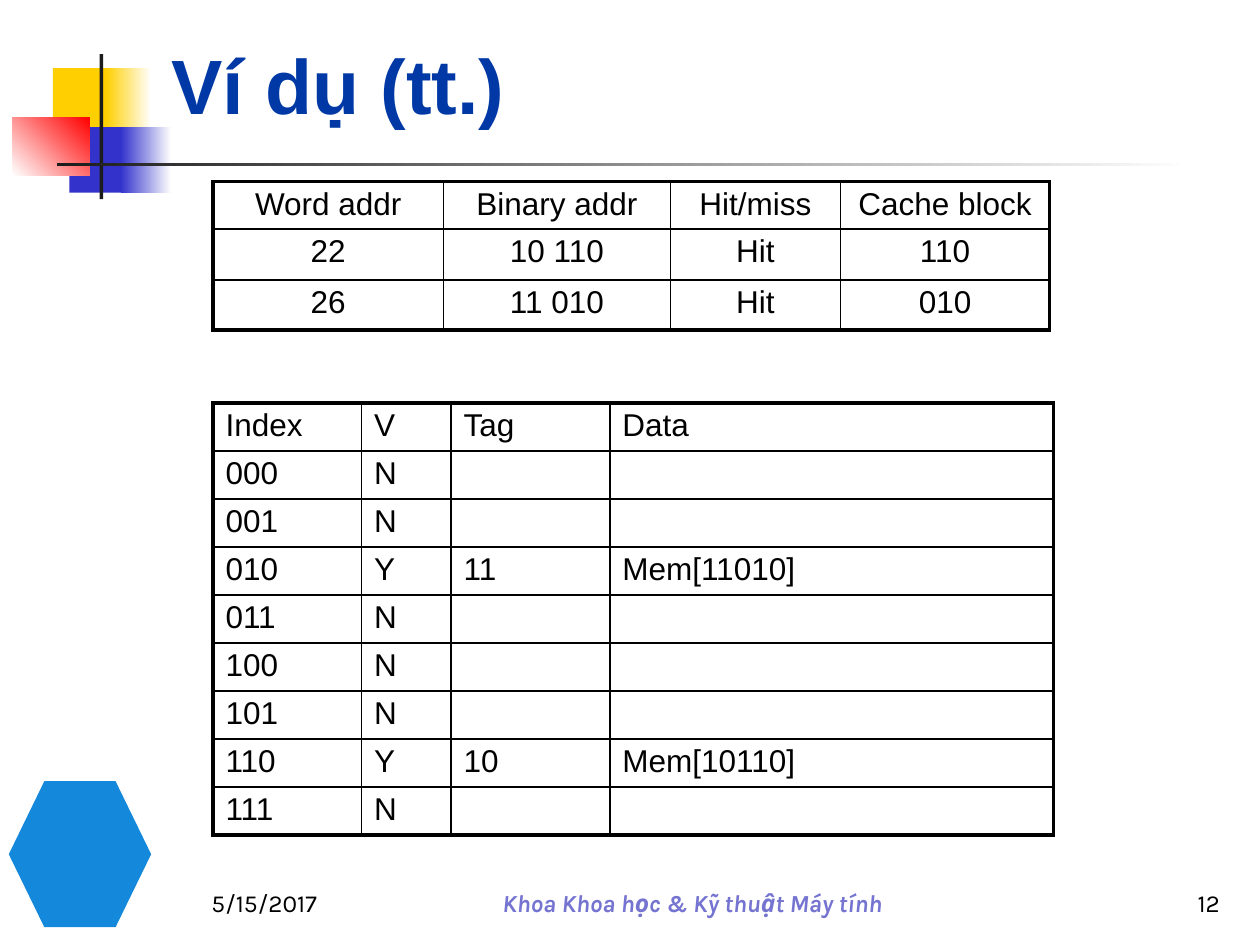
from dataclasses import dataclass

from lxml.etree import SubElement
from pptx import Presentation
from pptx.dml.color import RGBColor
from pptx.enum.shapes import MSO_SHAPE
from pptx.enum.text import MSO_ANCHOR, PP_ALIGN
from pptx.oxml.ns import qn
from pptx.util import Inches, Pt


@dataclass(frozen=True)
class Theme:
    ink: str = "000000"
    paper: str = "FFFFFF"
    heading: str = "0039A6"
    faculty: str = "7575D1"
    yellow: str = "FFCF01"
    blue: str = "3333CC"
    red: str = "FF0000"
    bar: str = "1C1C1C"
    emblem: str = "1488DB"
    body_font: str = "Arial"
    footer_font: str = "Karla"
    title_size: float = 44
    table_size: float = 18
    footer_size: float = 14
    frame: float = 2.25
    rule: float = 1.5
    hairline: float = 1


class SlideBuilder:
    COLUMNS = 100
    ROWS = 75

    def __init__(self, deck, theme):
        self.theme = theme
        self.column = deck.slide_width / self.COLUMNS
        self.row = deck.slide_height / self.ROWS
        self.slide = deck.slides.add_slide(deck.slide_layouts[5])

    def box(self, left, top, width, height):
        return (round(left * self.column), round(top * self.row),
                round(width * self.column), round(height * self.row))

    def add_wording(self, paragraph, wording, size, color, font, align=PP_ALIGN.LEFT,
                    bold=False, italic=False):
        paragraph.alignment = align
        run = paragraph.add_run()
        run.text = wording
        run.font.name = font
        run.font.size = Pt(size)
        run.font.bold = bold
        run.font.italic = italic
        run.font.color.rgb = RGBColor.from_string(color)

    def title(self, wording, place):
        heading = self.slide.shapes.title
        heading.left, heading.top, heading.width, heading.height = self.box(*place)
        heading.text_frame.vertical_anchor = MSO_ANCHOR.BOTTOM
        self.add_wording(heading.text_frame.paragraphs[0], wording, self.theme.title_size,
                         self.theme.heading, self.theme.body_font, bold=True)

    def block(self, place, color, fade_to=None, angle=0, outline=MSO_SHAPE.RECTANGLE):
        block = self.slide.shapes.add_shape(outline, *self.box(*place))
        block.shadow.inherit = False
        block.line.fill.background()
        if fade_to is None:
            block.fill.solid()
            block.fill.fore_color.rgb = RGBColor.from_string(color)
            return
        block.fill.gradient()
        block.fill.gradient_angle = angle
        for stop, tint in zip(block.fill.gradient_stops, (color, fade_to)):
            stop.color.rgb = RGBColor.from_string(tint)

    def footer(self, wording, place, color, align=PP_ALIGN.LEFT, emphasis=False):
        frame = self.slide.shapes.add_textbox(*self.box(*place)).text_frame
        frame.word_wrap = True
        frame.vertical_anchor = MSO_ANCHOR.BOTTOM
        self.add_wording(frame.paragraphs[0], wording, self.theme.footer_size, color,
                         self.theme.footer_font, align, emphasis, emphasis)

    def border(self, cell, weights):
        properties = cell._tc.get_or_add_tcPr()
        for position, (side, weight) in enumerate(weights.items()):
            edge = SubElement(properties, qn(f"a:ln{side}"), w=str(Pt(weight)))
            fill = SubElement(edge, qn("a:solidFill"))
            SubElement(fill, qn("a:srgbClr"), val=self.theme.ink)
            properties.insert(position, edge)

    def table(self, records, corner, widths, heights, row_rule, align):
        theme = self.theme
        place = self.box(*corner, sum(widths), sum(heights))
        grid = self.slide.shapes.add_table(len(records), len(widths), *place).table
        for column, width in zip(grid.columns, widths):
            column.width = round(width * self.column)
        for row, height in zip(grid.rows, heights):
            row.height = round(height * self.row)
        across = [theme.frame] + [theme.hairline] * (len(widths) - 1) + [theme.frame]
        down = [theme.frame, theme.rule] + [row_rule] * (len(records) - 2) + [theme.frame]
        for r, record in enumerate(records):
            for c, wording in enumerate(record):
                cell = grid.cell(r, c)
                cell.fill.background()
                cell.margin_top = cell.margin_bottom = Inches(0.04)
                self.border(cell, {"L": across[c], "R": across[c + 1],
                                   "T": down[r], "B": down[r + 1]})
                paragraph = cell.text_frame.paragraphs[0]
                if wording:
                    self.add_wording(paragraph, wording, theme.table_size, theme.ink,
                                     theme.body_font, align)
                else:
                    paragraph.font.size = Pt(theme.table_size)


def main():
    deck = Presentation()
    deck.slide_width, deck.slide_height = Inches(10), Inches(7.5)
    theme = Theme()
    page = SlideBuilder(deck, theme)

    page.block((4.2, 5.4, 4.8, 5.2), theme.yellow)
    page.block((8.4, 5.4, 3.6, 5.2), theme.yellow, theme.paper)
    page.block((5.5, 10.1, 4.6, 5.2), theme.blue)
    page.block((9.6, 10.1, 4, 5.2), theme.blue, theme.paper)
    page.block((1, 9.3, 6.1, 4.6), theme.paper, theme.red, angle=45)
    page.block((7.9, 4.3, 0.3, 11.5), theme.bar)
    page.block((4.5, 12.9, 90, 0.3), theme.bar, theme.paper)
    page.block((0.7, 62, 11.3, 11.6), theme.emblem, outline=MSO_SHAPE.HEXAGON)

    page.title("Ví dụ (tt.)", (12.6, 2.3, 85.2, 8.5))
    page.footer("5/15/2017", (15.8, 68.3, 14.2, 5), theme.ink)
    page.footer("Khoa Khoa học & Kỹ thuật Máy tính", (30.8, 70, 48.3, 3.3),
                theme.faculty, PP_ALIGN.CENTER, emphasis=True)
    page.footer("12", (83.3, 68.3, 14.5, 5), theme.ink, PP_ALIGN.RIGHT)

    stored = {"010": ("11", "Mem[11010]"), "110": ("10", "Mem[10110]")}
    cache = [("Index", "V", "Tag", "Data")]
    for number in range(8):
        index = f"{number:03b}"
        cache.append((index, "Y" if index in stored else "N", *stored.get(index, ("", ""))))
    page.table(cache, (16.9, 32), (11.8, 7.1, 12.6, 35.2), [3.81] * len(cache),
               theme.hairline, PP_ALIGN.LEFT)

    accesses = [
        ("Word addr", "Binary addr", "Hit/miss", "Cache block"),
        ("22", "10 110", "Hit", "110"),
        ("26", "11 010", "Hit", "010"),
    ]
    page.table(accesses, (16.9, 14.4), (18.3, 18, 13.5, 16.6), (3.8, 4, 4),
               theme.rule, PP_ALIGN.CENTER)

    deck.save("out.pptx")


if __name__ == "__main__":
    main()
